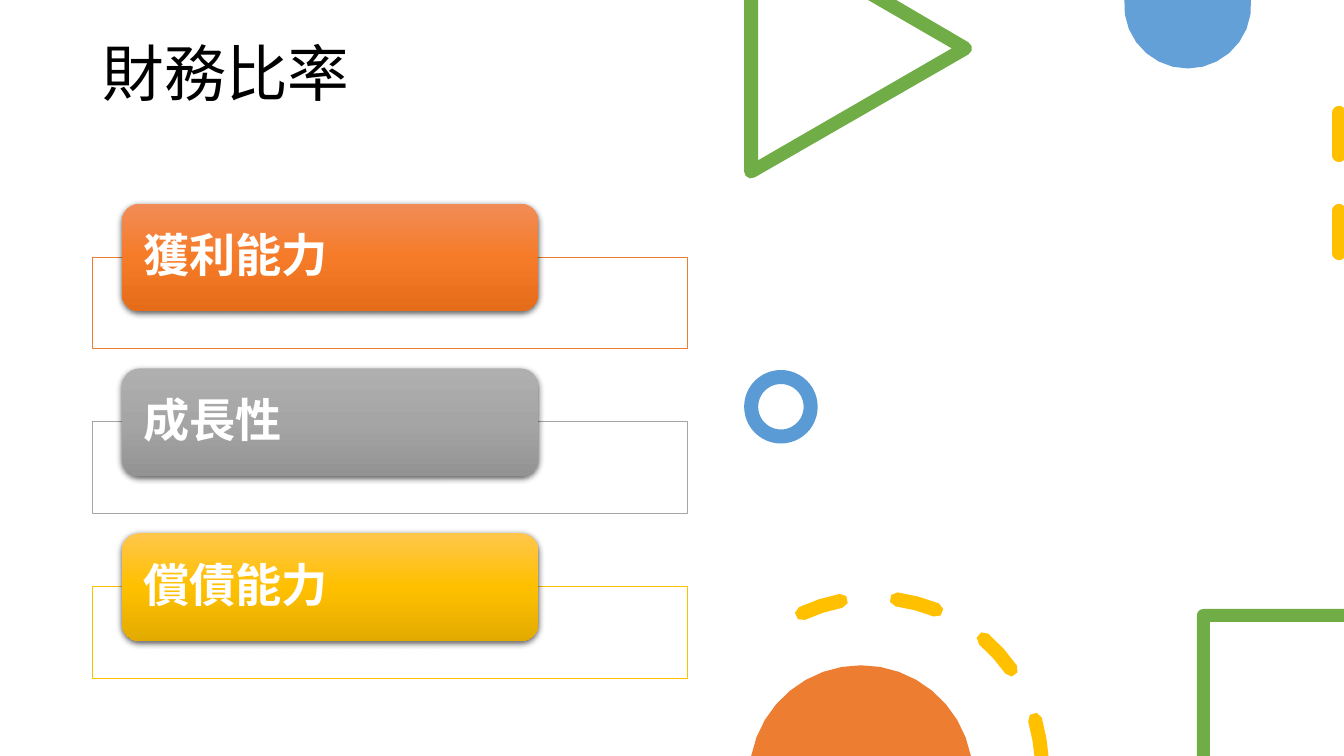
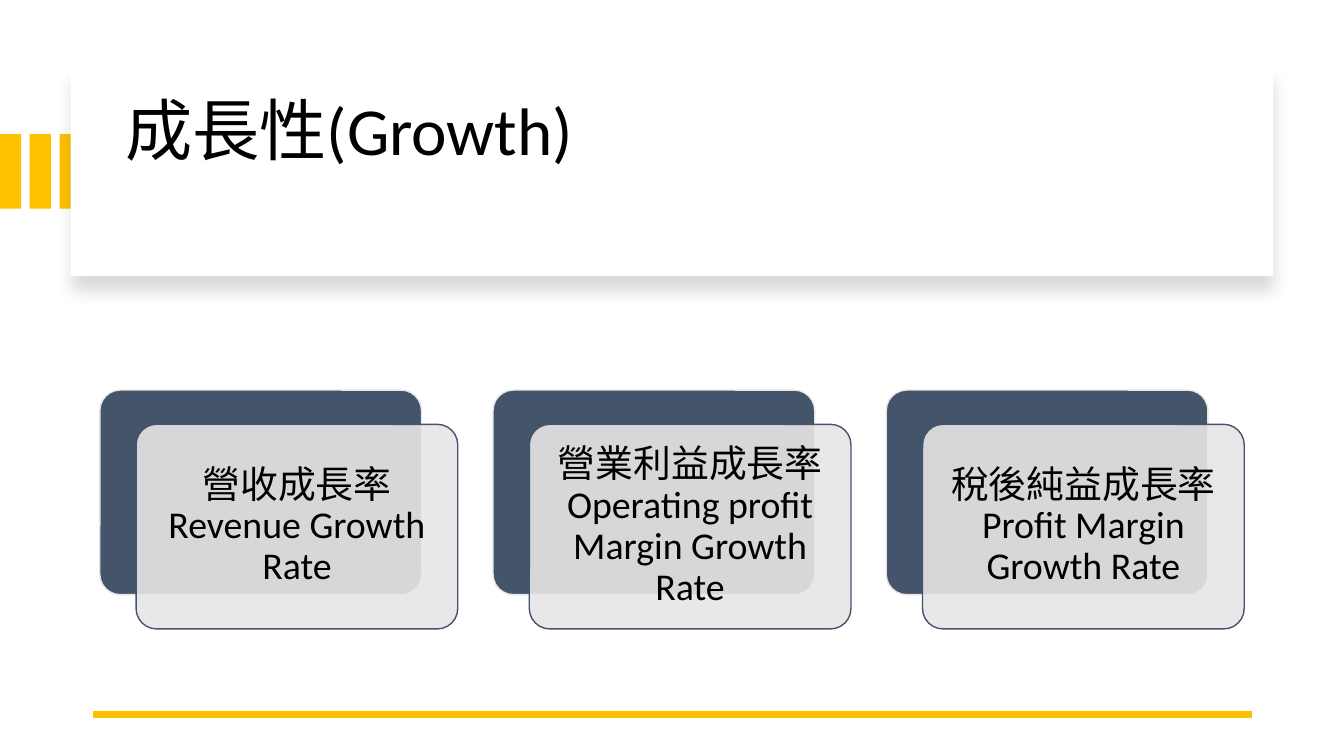
from copy import deepcopy
from math import cos, radians, sin

from lxml.etree import SubElement
from pptx import Presentation
from pptx.dml.color import RGBColor
from pptx.enum.dml import MSO_LINE
from pptx.enum.shapes import MSO_CONNECTOR, MSO_SHAPE
from pptx.enum.text import MSO_ANCHOR, PP_ALIGN
from pptx.oxml.ns import qn
from pptx.util import Inches, Pt

SLIDE_WIDTH, SLIDE_HEIGHT = 13.33, 7.5
FONT = "Calibri"
COLORS = {
    "black": "000000", "white": "FFFFFF", "blue": "5B9BD5", "green": "70AD47",
    "yellow": "FFC000", "orange": "ED7D31", "gray": "A5A5A5",
    "navy": "44546A", "light": "E7E6E6",
}
RATIOS = [
    ("獲利能力", "orange", ("F18C57", "F67B28", "E56C19")),
    ("成長性", "gray", ("AFAFAF", "A5A5A5", "939393")),
    ("償債能力", "yellow", ("FFC64B", "FFC000", "E3AB00")),
]
GROWTH_RATES = [
    "營收成長率Revenue Growth Rate",
    "營業利益成長率 Operating profit Margin Growth Rate",
    "稅後純益成長率 Profit Margin Growth Rate",
]


def color(name):
    return RGBColor.from_string(COLORS[name])


# Formatting helpers
def paint(shape, fill=None, line=None, line_width=1, opacity=100):
    shape.shadow.inherit = False
    if fill:
        shape.fill.solid()
        shape.fill.fore_color.rgb = color(fill)
        if opacity < 100:
            fill_color = shape.element.spPr.find(qn("a:solidFill"))[0]
            SubElement(fill_color, qn("a:alpha"), val=str(opacity * 1000))
    else:
        shape.fill.background()
    if line:
        shape.line.color.rgb = color(line)
        shape.line.width = Pt(line_width)
    else:
        shape.line.fill.background()


def paint_gradient(shape, hex_colors):
    shape.fill.gradient()
    shape.fill.gradient_angle = 270
    stop_list = shape.element.spPr.find(qn("a:gradFill")).find(qn("a:gsLst"))
    stop_list.append(deepcopy(stop_list[0]))
    for index, (stop, value) in enumerate(zip(shape.fill.gradient_stops, hex_colors)):
        stop.position = index / 2
        stop.color.rgb = RGBColor.from_string(value)


def drop_shadow(shape, opacity, blur, distance):
    effects = shape.element.spPr.find(qn("a:effectLst"))
    shadow = SubElement(effects, qn("a:outerShdw"), blurRad=str(Pt(blur)),
                        dist=str(Pt(distance)), dir="5400000", algn="ctr", rotWithShape="0")
    shadow_color = SubElement(shadow, qn("a:srgbClr"), val=COLORS["black"])
    SubElement(shadow_color, qn("a:alpha"), val=str(opacity * 1000))


def write(shape, text, size, text_color="black", bold=False,
          align=PP_ALIGN.LEFT, anchor=MSO_ANCHOR.MIDDLE, insets=(0.1, 0.05)):
    frame = shape.text_frame
    frame.text = text
    frame.word_wrap = True
    frame.vertical_anchor = anchor
    frame.margin_left = frame.margin_right = Inches(insets[0])
    frame.margin_top = frame.margin_bottom = Inches(insets[1])
    paragraph = frame.paragraphs[0]
    paragraph.alignment = align
    paragraph.line_spacing = 0.9
    font = paragraph.runs[0].font
    font.name, font.size, font.bold = FONT, Pt(size), bold
    font.color.rgb = color(text_color)


# Element helpers
def add_box(slide, kind, left, top, width, height, **style):
    shape = slide.shapes.add_shape(kind, Inches(left), Inches(top), Inches(width), Inches(height))
    paint(shape, **style)
    return shape


def add_line(slide, start, end, line_color, width):
    line = slide.shapes.add_connector(MSO_CONNECTOR.STRAIGHT, *map(Inches, start + end))
    line.line.color.rgb = color(line_color)
    line.line.width = Pt(width)
    SubElement(line.element.spPr, qn("a:effectLst"))
    return line


def add_outline(slide, contours, fill, opacity=100):
    """Draw closed contours, cropped at the top and bottom of the slide."""
    builder = None
    for contour in contours:
        points = [(Inches(x), Inches(min(max(y, 0), SLIDE_HEIGHT))) for x, y in contour]
        if builder is None:
            builder = slide.shapes.build_freeform(*points[0])
        else:
            builder.move_to(*points[0])
        builder.add_line_segments(points[1:], close=True)
    paint(builder.convert_to_shape(), fill, opacity=opacity)


def arc(center, radius, start, end, steps=3):
    angles = [radians(start + (end - start) * step / steps) for step in range(steps + 1)]
    return [(center[0] + radius * cos(a), center[1] + radius * sin(a)) for a in angles]


def arc_dash(center, radius, start, sweep, half_width=0.07):
    """A piece of a thick circular arc with round ends."""
    end = start + sweep
    first, last = arc(center, radius, start, end, 1)
    return (arc(center, radius + half_width, start, end, 2)
            + arc(last, half_width, end, end + 180)[1:-1]
            + arc(center, radius - half_width, end, start, 2)
            + arc(first, half_width, start + 180, start + 360)[1:-1])


def add_title_slide(presentation, title, box, size, top_inset):
    slide = presentation.slides.add_slide(presentation.slide_layouts[5])
    shape = slide.shapes.title
    shape.left, shape.top, shape.width, shape.height = map(Inches, box)
    write(shape, title, size, anchor=MSO_ANCHOR.TOP, insets=(0.1, top_inset))
    return slide


# Slide parts
def add_decorations(slide):
    add_outline(slide, [arc((11.78, 0.05), 0.63, -5, 185, 14)], "blue", opacity=95)
    add_box(slide, MSO_SHAPE.OVAL, 7.45, 3.74, 0.59, 0.59, line="blue", line_width=10)
    # Triangle frame with rounded corners
    add_outline(slide, [[(7.38, 0), (7.52, 0), (7.52, 1.59), (9.44, 0.48), (8.61, 0), (8.89, 0)]
                        + arc((9.57, 0.48), 0.07, -60, 60)
                        + arc((7.45, 1.7), 0.07, 60, 180)], "green")
    # Dashed line and dashed arc
    dashes = add_line(slide, (13.28, 1.12), (13.28, 2.87), "yellow", 10)
    dashes.line.dash_style = MSO_LINE.DASH
    dashes.line._get_or_add_ln().set("cap", "rnd")
    add_outline(slide, [arc_dash((8.66, 7.6), 1.67, -115 + 33 * index, 14)
                        for index in range(4)], "yellow")
    add_outline(slide, [arc((8.54, 7.71), 1.11, 191, 349, 16)], "orange")
    # Square frame corner
    add_outline(slide, [arc((11.94, 6.11), 0.07, 180, 270)
                        + [(13.33, 6.04), (13.33, 6.17), (12, 6.17), (12, 7.5), (11.87, 7.5)]],
                "green")


def add_ratio(slide, top, text, line_color, gradient):
    add_box(slide, MSO_SHAPE.RECTANGLE, 0.92, top + 0.53, 5.9, 0.91,
            fill="white", opacity=90, line=line_color, line_width=0.5)
    label = add_box(slide, MSO_SHAPE.ROUNDED_RECTANGLE, 1.21, top, 4.13, 1.07)
    paint_gradient(label, gradient)
    drop_shadow(label, 63, 4.5, 1.5)
    write(label, text, 33, "white", bold=True, insets=(0.16, 0))


def add_growth_card(slide, left, text):
    back = add_box(slide, MSO_SHAPE.ROUNDED_RECTANGLE, left, 3.87, 3.19, 2.03,
                   fill="navy", line="light")
    front = add_box(slide, MSO_SHAPE.ROUNDED_RECTANGLE, left + 0.36, 4.21, 3.19, 2.03,
                    fill="light", opacity=90, line="navy")
    for card in (back, front):
        card.adjustments[0] = 0.1
    write(front, text, 27, align=PP_ALIGN.CENTER, insets=(0.11, 0.11))


def build_ratios(presentation):
    slide = add_title_slide(presentation, "財務比率", (0.92, 0.4, 5.9, 1.45), 44, 0.03)
    add_decorations(slide)
    first_top, last_top = 2.02, 5.29
    pitch = (last_top - first_top) / (len(RATIOS) - 1)
    for index, ratio in enumerate(RATIOS):
        add_ratio(slide, first_top + pitch * index, *ratio)


def build_growth(presentation):
    slide = add_title_slide(presentation, "成長性(Growth)", (1.14, 0.89, 11.13, 1.7), 48, 0.08)
    # Title band: stripes and a raised panel behind the title
    for index in range(3):
        add_box(slide, MSO_SHAPE.RECTANGLE, 0.59 / 2 * index, 1.33, 0.21, 0.74, fill="yellow")
    panel = add_box(slide, MSO_SHAPE.RECTANGLE, 0.7, 0.67, 11.93, 2.07, fill="white")
    drop_shadow(panel, 15, 11, 10)
    slide.shapes.element.append(slide.shapes.title.element)
    # Footer line and cards
    add_line(slide, (12.42, 7.09), (0.92, 7.09), "yellow", 4.5)
    for index, text in enumerate(GROWTH_RATES):
        add_growth_card(slide, 0.99 + 3.9 * index, text)


def main():
    presentation = Presentation()
    presentation.slide_width = Inches(SLIDE_WIDTH)
    presentation.slide_height = Inches(SLIDE_HEIGHT)
    build_ratios(presentation)
    build_growth(presentation)
    presentation.save("out.pptx")


if __name__ == "__main__":
    main()
